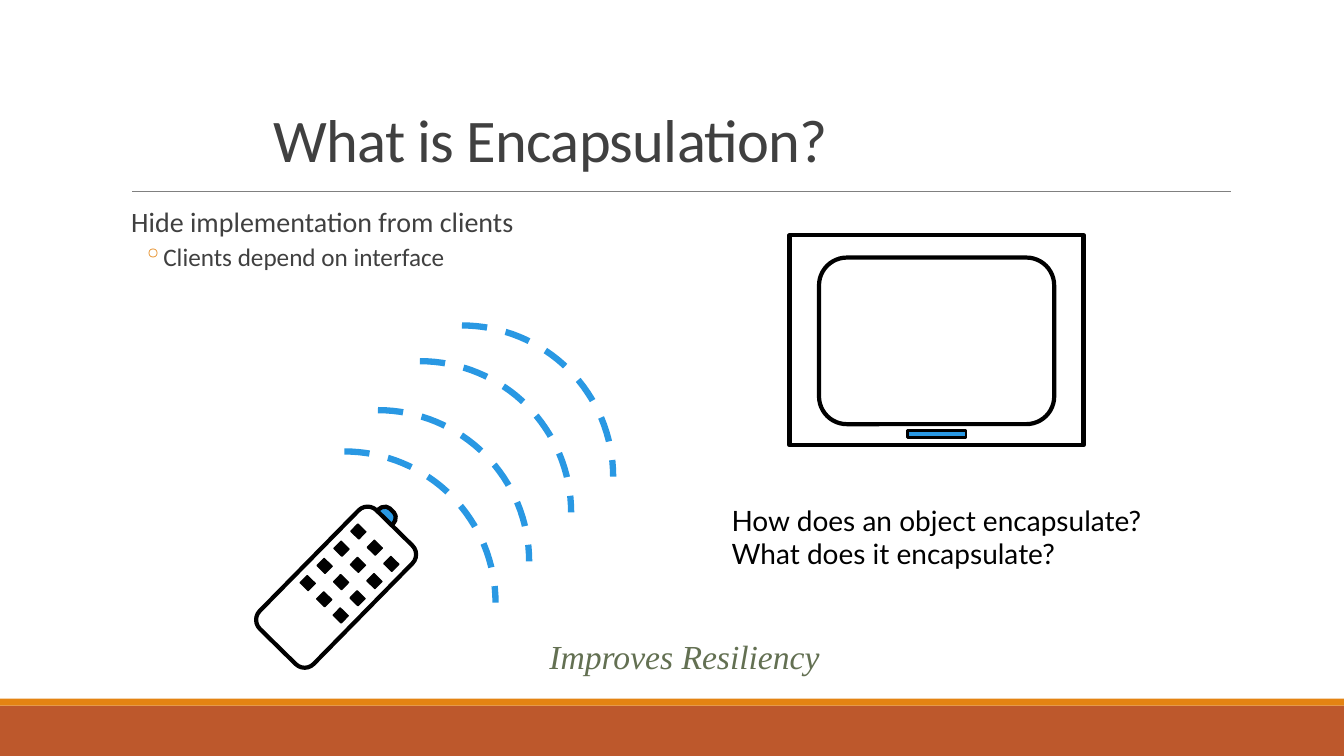
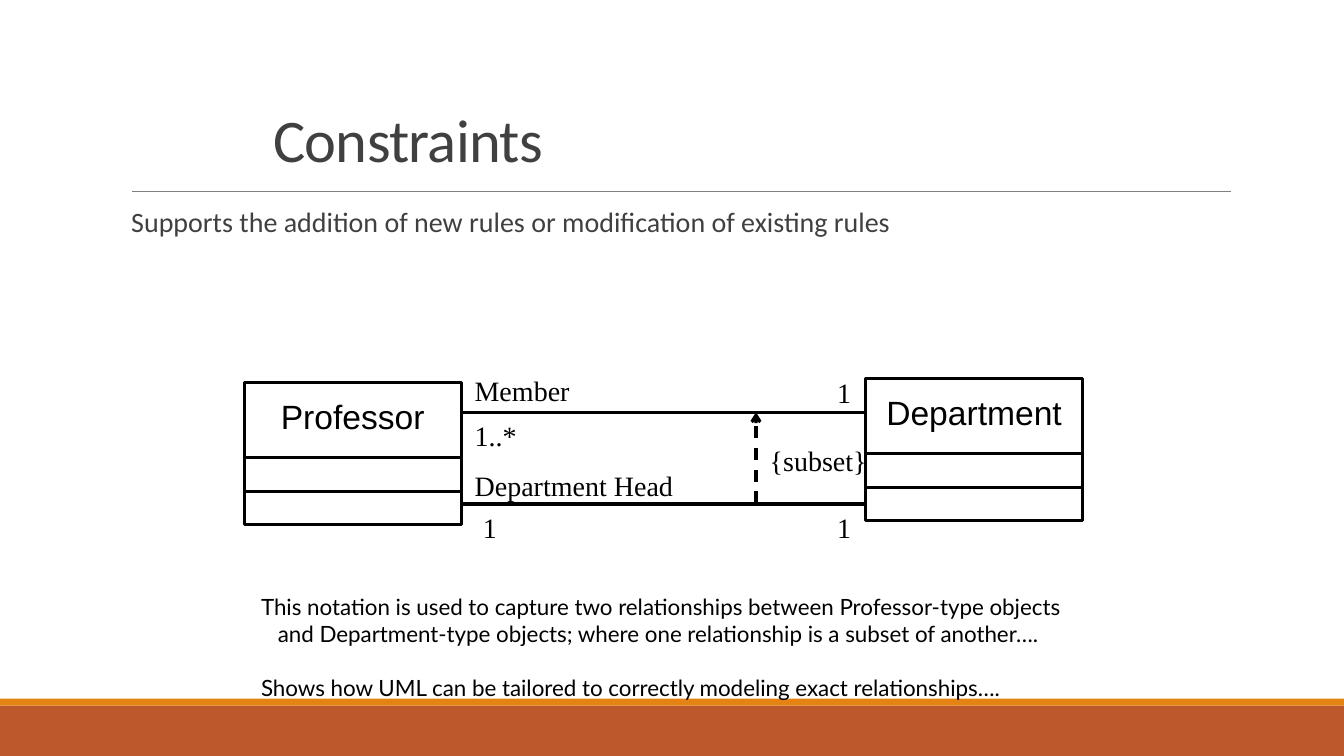
from itertools import product
from math import cos, pi, radians, sin

from lxml.etree import SubElement
from pptx import Presentation
from pptx.dml.color import RGBColor
from pptx.enum.dml import MSO_LINE as Dash
from pptx.enum.shapes import MSO_CONNECTOR as Connector
from pptx.enum.shapes import MSO_SHAPE as Shape
from pptx.enum.text import MSO_ANCHOR as Anchor
from pptx.enum.text import MSO_AUTO_SIZE as AutoSize
from pptx.enum.text import PP_ALIGN as Align
from pptx.oxml.ns import qn
from pptx.util import Pt

COLORS = {
    "text": "404040",
    "black": "000000",
    "rule": "808080",
    "rust": "BD582C",
    "orange": "E48312",
    "blue": "2998E3",
    "olive": "637052",
}
TITLE_ONLY = 5
WIDE_INSET = (9, 4.5)


def color(name):
    return RGBColor.from_string(COLORS[name])


def points(box):
    return [Pt(value) for value in box]


def style_outline(shape, fill=None, line=None, weight=1):
    shape.shadow.inherit = False
    if fill:
        shape.fill.solid()
        shape.fill.fore_color.rgb = color(fill)
    else:
        shape.fill.background()
    if line:
        shape.line.color.rgb = color(line)
        shape.line.width = Pt(weight)
    else:
        shape.line.fill.background()


def add_figure(slide, kind, box, fill=None, line=None, weight=1, adjustment=None, rotation=0):
    shape = slide.shapes.add_shape(kind, *points(box))
    style_outline(shape, fill, line, weight)
    shape.rotation = rotation
    if adjustment is not None:
        shape.adjustments[0] = adjustment
    return shape


def add_line(slide, start, end, name="black", weight=2.25, dash=None, arrow=False):
    line = slide.shapes.add_connector(Connector.STRAIGHT, *points(start + end))
    line.line.color.rgb = color(name)
    line.line.width = Pt(weight)
    if dash:
        line.line.dash_style = dash
    properties = line._element.spPr
    if arrow:
        SubElement(properties.find(qn("a:ln")), qn("a:tailEnd"), type="arrow")
    SubElement(properties, qn("a:effectLst"))


def set_font(paragraph, name, size, font_color="black", italic=False):
    font = paragraph.font
    font.name = name
    font.size = Pt(size)
    font.color.rgb = color(font_color)
    font.italic = italic


def add_text(slide, box, lines, font, size, align=Align.LEFT, inset=WIDE_INSET,
             wrap=True, font_color="black", italic=False):
    frame = slide.shapes.add_textbox(*points(box)).text_frame
    frame.word_wrap = wrap
    frame.margin_left = frame.margin_right = Pt(inset[0])
    frame.margin_top = frame.margin_bottom = Pt(inset[1])
    frame.text = "\n".join(lines)
    for paragraph in frame.paragraphs:
        paragraph.alignment = align
        set_font(paragraph, font, size, font_color, italic)
    return frame


def indent(paragraph, left, first=0):
    properties = paragraph._p.get_or_add_pPr()
    properties.set("marL", str(Pt(left)))
    properties.set("indent", str(Pt(first)))
    return properties


def add_bands(slide):
    add_figure(slide, Shape.RECTANGLE, (0, 504, 960, 36), fill="rust")
    add_figure(slide, Shape.RECTANGLE, (0, 499, 960, 5), fill="orange")
    add_line(slide, (94.5, 137), (879, 137), "rule", 0.5)


def add_title(slide, text):
    title = slide.shapes.title
    title.left, title.top, title.width, title.height = points((188, 72.5, 500, 56))
    frame = title.text_frame
    frame.text = text
    frame.auto_size = AutoSize.NONE
    frame.vertical_anchor = Anchor.BOTTOM
    paragraph = frame.paragraphs[0]
    paragraph.alignment = Align.LEFT
    paragraph.line_spacing = 0.85
    set_font(paragraph, "Calibri", 43.2, "text")
    paragraph._p.pPr.find(qn("a:defRPr")).set("spc", "-50")


def add_body(slide, heading, details=()):
    frame = add_text(slide, (86.5, 145.5, 792, 317), [heading, *details],
                     "Calibri", 20, inset=(0, 3.6), font_color="text")
    first, *others = frame.paragraphs
    first.line_spacing = 0.9
    first.space_after = Pt(2)
    indent(first, 7.2)
    for paragraph in others:
        paragraph.line_spacing = 0.9
        paragraph.space_before = Pt(2)
        paragraph.space_after = Pt(4)
        properties = indent(paragraph, 30.2, -14.4)
        font_properties = properties.find(qn("a:defRPr"))
        bullet_color = SubElement(properties, qn("a:buClr"))
        SubElement(bullet_color, qn("a:srgbClr"), val=COLORS["orange"])
        SubElement(properties, qn("a:buChar"), char="◦")
        properties.append(font_properties)
        paragraph.font.size = Pt(18)


def start_slide(presentation, title, heading, details=()):
    slide = presentation.slides.add_slide(presentation.slide_layouts[TITLE_ONLY])
    add_bands(slide)
    add_title(slide, title)
    add_body(slide, heading, details)
    return slide


def draw_wave(slide, left, top, radius=108, steps=32):
    angles = [pi / 2 * step / steps for step in range(steps + 1)]
    outline = [points((left + radius * sin(angle), top + radius * (1 - cos(angle))))
               for angle in angles]
    builder = slide.shapes.build_freeform(*outline[0])
    builder.add_line_segments(outline[1:], close=False)
    wave = builder.convert_to_shape()
    style_outline(wave, line="blue", weight=4.5)
    wave.line.dash_style = Dash.DASH


def draw_television(slide, box):
    left, top, width, height = box
    add_figure(slide, Shape.RECTANGLE, box, line="black", weight=3)
    add_figure(slide, Shape.ROUNDED_RECTANGLE,
               (left + 21, top + 16, width - 42, height - 31),
               line="black", weight=3, adjustment=0.167)
    add_figure(slide, Shape.RECTANGLE, (left + width / 2 - 21, top + height - 10.5, 42, 5),
               fill="blue", line="black", weight=2)


def draw_remote(slide, box, rotation=314.5):
    left, top, width, height = box
    turn = radians(rotation)

    def part_box(along, across, part_width, part_height):
        center_x = left + width / 2 + along * cos(turn) - across * sin(turn)
        center_y = top + height / 2 + along * sin(turn) + across * cos(turn)
        return (center_x - part_width / 2, center_y - part_height / 2,
                part_width, part_height)

    add_figure(slide, Shape.RIGHT_BRACKET, part_box(63.5, -10, 7, 15), fill="blue",
               line="black", weight=3, adjustment=0.781, rotation=rotation)
    add_figure(slide, Shape.ROUNDED_RECTANGLE, box, line="black", weight=3,
               adjustment=0.167, rotation=rotation)
    for row, column in product(range(4), range(3)):
        button = part_box(39.5 - 17.2 * row, 16.5 * (column - 1), 7.2, 8)
        add_figure(slide, Shape.RECTANGLE, button, fill="black", line="black",
                   rotation=rotation)


def draw_class(slide, box, name, label_width):
    left, top, width, height = box
    add_figure(slide, Shape.RECTANGLE, box, line="black", weight=2.25)
    for offset in (53.5, 77.5):
        add_line(slide, (left, top + offset), (left + width, top + offset))
    add_text(slide, (left + (width - label_width) / 2 + 0.5, top + 6, label_width, 37),
             [name], "Arial", 24, inset=(7.2, 3.6), wrap=False)


def draw_associations(slide, box):
    left, top, width, height = box
    upper, lower = top + 32.5, top + 98
    for y in (upper, lower):
        add_line(slide, (left, y), (left + width, y))
    add_line(slide, (left + 210, lower), (left + 210, upper), dash=Dash.DASH, arrow=True)
    labels = [
        ("Member", 0, 0, 125, Align.LEFT),
        ("Department Head", 0, 68, 178.5, Align.LEFT),
        ("{subset}", 192, 50.5, 125, Align.CENTER),
        ("1..*", 0, 32.5, 125, Align.LEFT),
        ("1", 6, 98, 125, Align.LEFT),
        ("1", 162, 2, 125, Align.RIGHT),
        ("1", 162, 98, 125, Align.RIGHT),
    ]
    for text, x, y, label_width, align in labels:
        add_text(slide, (left + x, top + y, label_width, 32.5), [text],
                 "Times New Roman", 20, align)


def build_encapsulation(presentation):
    slide = start_slide(presentation, "What is Encapsulation?",
                        "Hide implementation from clients",
                        ["Clients depend on interface"])
    for left, top in ((246, 322.5), (270, 293), (300, 258), (330, 232.5)):
        draw_wave(slide, left, top)
    draw_television(slide, (564, 168, 210, 150))
    draw_remote(slide, (180.7, 392.4, 118.8, 54))
    add_text(slide, (324, 450, 330, 37.5), ["Improves Resiliency"], "Times New Roman", 24,
             Align.CENTER, font_color="olive", italic=True)
    add_text(slide, (513.5, 355, 320.5, 57),
             ["How does an object encapsulate?", "What does it encapsulate?"], "Lato", 20)


def build_constraints(presentation):
    slide = start_slide(presentation, "Constraints",
                        "Supports the addition of new rules or modification of existing rules")
    draw_class(slide, (174.5, 273.5, 155, 101), "Professor", 118)
    draw_class(slide, (618.5, 270.5, 155, 101), "Department", 141)
    draw_associations(slide, (330, 262, 288, 130.5))
    note = add_text(slide, (177.5, 419, 598, 86.5), [
        "This notation is used to capture two relationships between Professor-type objects",
        "and Department-type objects; where one relationship is a subset of another….",
        "Shows how UML can be tailored to correctly modeling exact relationships….",
    ], "Lato", 16)
    indent(note.paragraphs[1], 12)
    note.paragraphs[2].space_before = Pt(19.5)


def main():
    presentation = Presentation()
    presentation.slide_width, presentation.slide_height = Pt(960), Pt(540)
    build_encapsulation(presentation)
    build_constraints(presentation)
    presentation.save("out.pptx")


if __name__ == "__main__":
    main()
